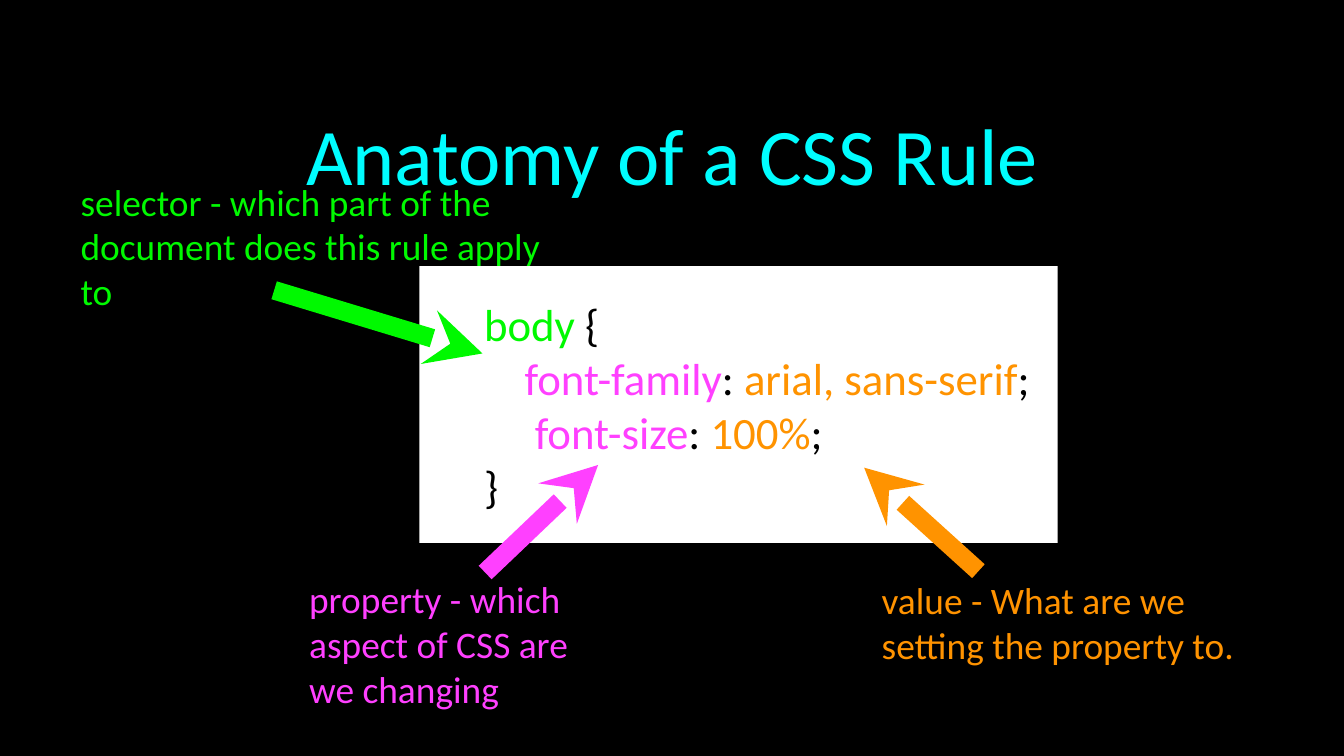
from dataclasses import dataclass

from pptx import Presentation
from pptx.dml.color import RGBColor
from pptx.enum import shapes, text
from pptx.oxml import ns, xmlchemy as xml
from pptx.util import Inches, Pt


@dataclass(frozen=True)
class Theme:
    """Colours, font and sizes of the slide."""
    back: str = "000000"
    panel: str = "FFFFFF"
    ink: str = "000000"
    title: str = "00FDFF"
    pick: str = "00F900"
    prop: str = "FF40FF"
    value: str = "FF9300"
    font: str = "Calibri"
    head: int = 43
    code: int = 24
    note: int = 20
    line: int = 10


T = Theme()

CODE = [
    [("      ", T.panel), ("body ", T.pick), ("{", T.ink)],
    [("          ", T.panel), ("font-family", T.prop), (": ", T.ink),
     ("arial, sans-serif", T.value), (";", T.ink)],
    [("           ", T.panel), ("font-size", T.prop), (": ", T.ink),
     ("100%", T.value), (";", T.ink)],
    [("  ", T.panel), ("    }", T.ink)],
]

NOTES = [
    ("property - which aspect of CSS are we changing", T.prop,
     (2.27, 4.09, 2.19, 1.4), (3.61, 4.26), (4.45, 3.46)),
    ("selector - which part of the document does this rule apply to", T.pick,
     (0.57, 1.3, 3.53, 1.06), (2.04, 2.16), (3.59, 2.63)),
    ("value - What are we setting the property to.", T.value,
     (6.53, 4.1, 2.89, 1.06), (7.28, 4.25), (6.43, 3.48)),
]


def rgb(code):
    """Turn a hex code into a colour."""
    return RGBColor.from_string(code)


def inch(*nums):
    """Turn numbers into lengths."""
    return [Inches(n) for n in nums]


def write(shape, lines, size, align=text.PP_ALIGN.LEFT,
          anchor=text.MSO_ANCHOR.MIDDLE, pad=0.03):
    """Write lines of (words, colour) runs into a shape."""
    frame = shape.text_frame
    frame.word_wrap = True
    frame.auto_size = text.MSO_AUTO_SIZE.NONE
    frame.vertical_anchor = anchor
    frame.margin_left = frame.margin_right = Inches(pad)
    frame.margin_top = frame.margin_bottom = Inches(pad)
    for i, line in enumerate(lines):
        para = frame.add_paragraph() if i else frame.paragraphs[0]
        para.alignment = align
        for words, color in line:
            run = para.add_run()
            run.text = words
            run.font.name = T.font
            run.font.size = Pt(size)
            run.font.color.rgb = rgb(color)


def add_title(slide, box):
    """Place the slide title."""
    title = slide.shapes.title
    title.left, title.top, title.width, title.height = inch(*box)
    write(title, [[("Anatomy of a CSS Rule", T.title)]], T.head,
          align=text.PP_ALIGN.CENTER, anchor=text.MSO_ANCHOR.BOTTOM, pad=0.06)


def add_code(slide, box):
    """Place the white panel with the CSS rule."""
    panel = slide.shapes.add_shape(shapes.MSO_SHAPE.RECTANGLE, *inch(*box))
    panel.shadow.inherit = False
    panel.fill.solid()
    panel.fill.fore_color.rgb = rgb(T.panel)
    panel.line.fill.background()
    write(panel, CODE, T.code)


def add_note(slide, box, words, color):
    """Place a coloured note."""
    write(slide.shapes.add_textbox(*inch(*box)), [[(words, color)]], T.note)


def add_arrow(slide, start, tip, color):
    """Draw a thick arrow from a note to the code."""
    arrow = slide.shapes.add_connector(
        shapes.MSO_CONNECTOR.STRAIGHT, *inch(*tip, *start))
    arrow.line.color.rgb = rgb(color)
    arrow.line.width = Pt(T.line)
    head = xml.OxmlElement("a:headEnd")
    head.set("type", "stealth")
    props = arrow._element.spPr
    props.find(ns.qn("a:ln")).append(head)
    props.append(xml.OxmlElement("a:effectLst"))


def main():
    """Build and save the slide."""
    deck = Presentation()
    deck.slide_width = Inches(10)
    deck.slide_height = deck.slide_width * 9 // 16
    slide = deck.slides.add_slide(deck.slide_layouts.get_by_name("Title Only"))
    slide.background.fill.solid()
    slide.background.fill.fore_color.rgb = rgb(T.back)
    add_title(slide, (0.93, 0.15, 8.14, 1.41))
    add_code(slide, (3.12, 1.98, 4.75, 2.06))
    for words, color, box, *_ in NOTES:
        add_note(slide, box, words, color)
    for _, color, _, start, tip in NOTES:
        add_arrow(slide, start, tip, color)
    deck.save("out.pptx")


if __name__ == "__main__":
    main()
